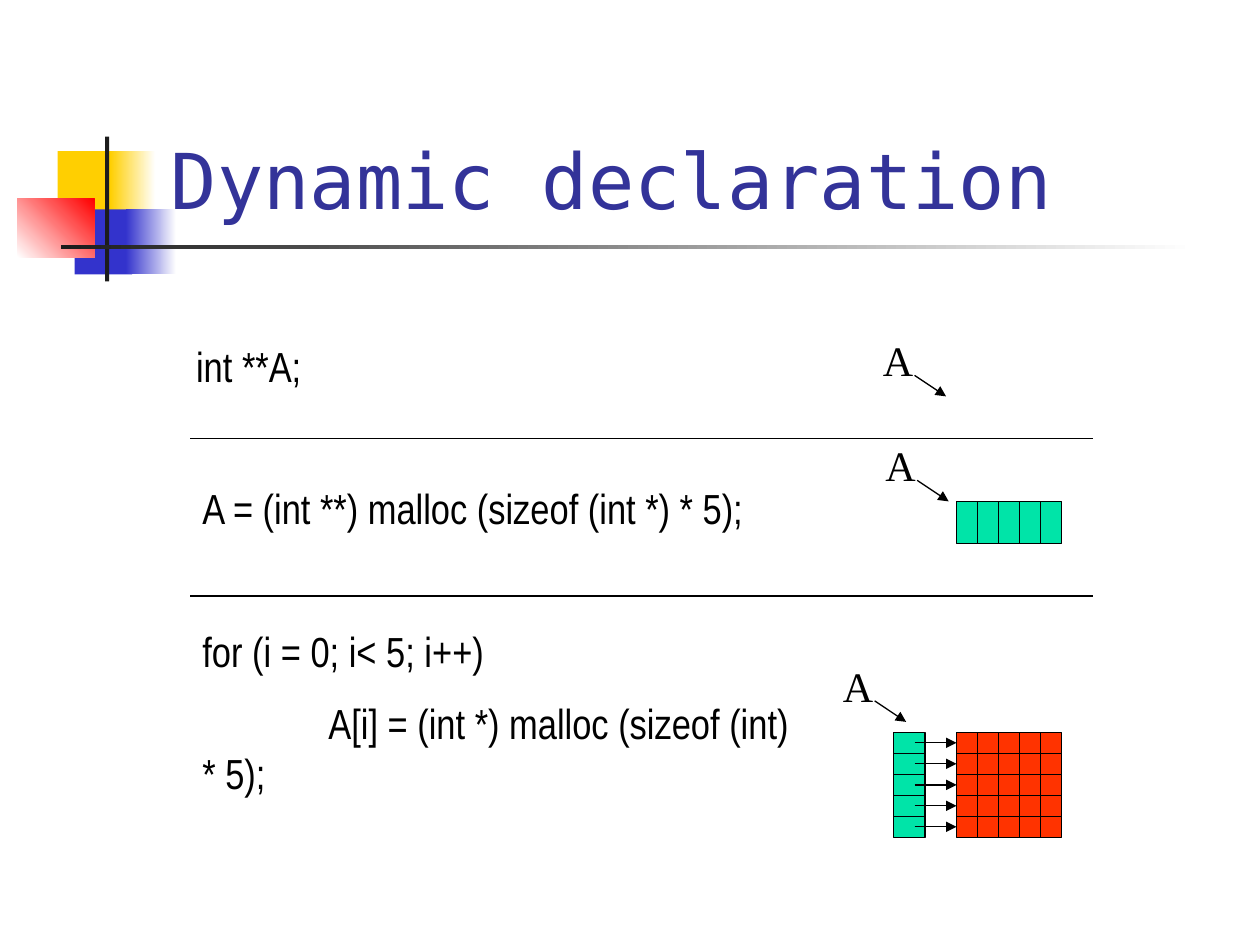
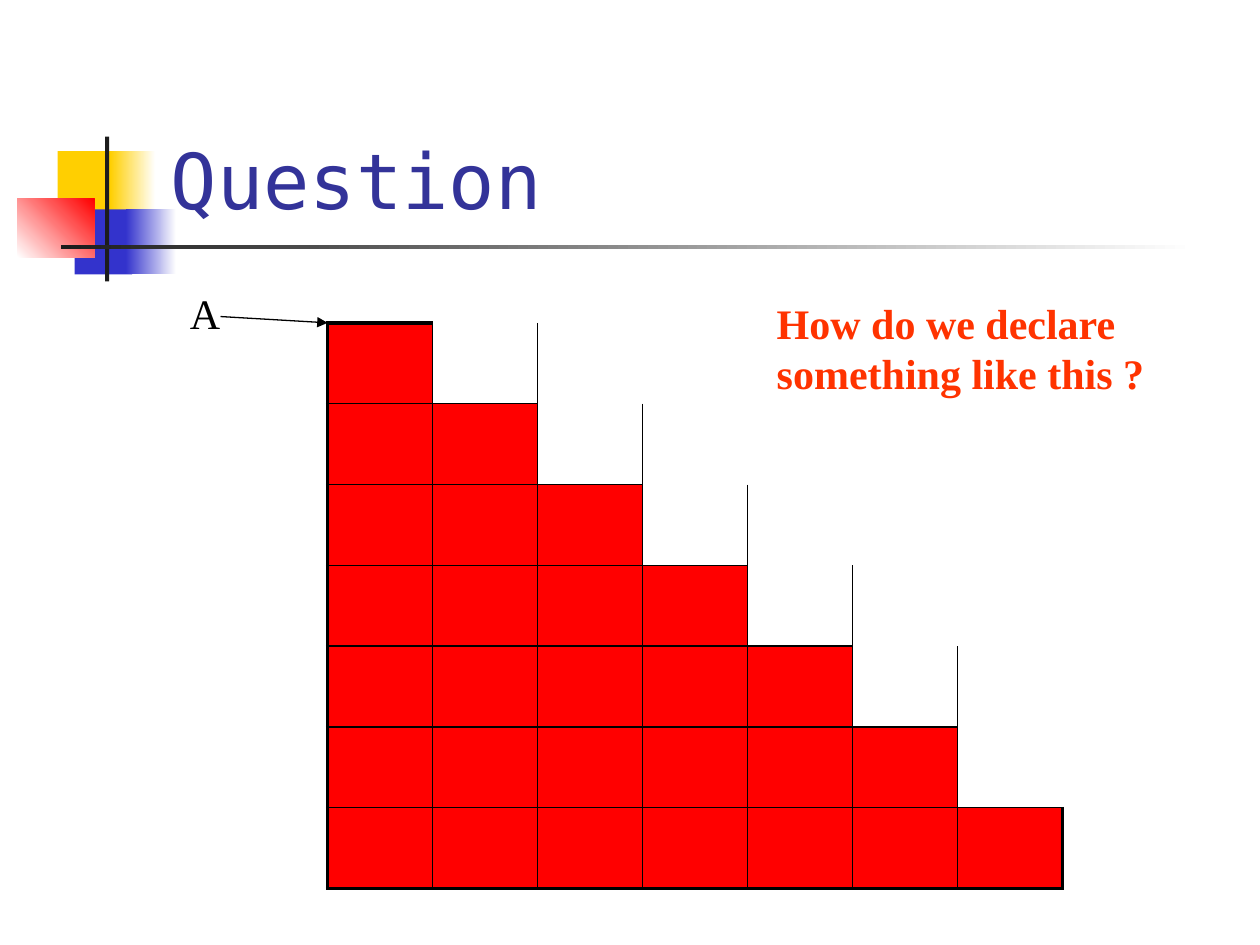
from lxml.etree import SubElement
from pptx import Presentation
from pptx.dml.color import RGBColor
from pptx.enum.shapes import MSO_CONNECTOR, MSO_SHAPE
from pptx.enum.text import MSO_ANCHOR, MSO_AUTO_SIZE
from pptx.oxml.ns import qn
from pptx.util import Inches, Pt

COLUMNS, ROWS = 120, 90
WIDTH, HEIGHT = Inches(10), Inches(7.5)
NO_GRID_STYLE = "{2D5ABB26-0587-4C30-8999-92F81FD0307C}"

BLACK, WHITE, DARK = "000000", "FFFFFF", "1C1C1C"
YELLOW, BLUE, RED = "FFCF01", "3333CC", "FF0000"
GREEN, ORANGE = "00E4A8", "FF3300"

TITLE = {"name": "DejaVu Sans Mono", "size": Pt(44), "color": "333399"}
CODE = {"name": "Arial Narrow", "size": Pt(24), "color": BLACK}
LABEL = {"name": "Times New Roman", "size": Pt(24), "color": BLACK}
PROMPT = {**LABEL, "color": ORANGE, "bold": True}

# left, top, width, height, colours (two make a gradient), gradient angle
MOTIF = [
    (5.5, 14.4, 5.75, 6.2, [YELLOW], 0),
    (10.5, 14.4, 4.3, 6.2, [YELLOW, WHITE], 0),
    (7.1, 19.95, 5.5, 6.2, [BLUE], 0),
    (12, 19.95, 4.8, 6.2, [BLUE, WHITE], 0),
    (1.65, 18.95, 7.35, 5.55, [WHITE, RED], 45),
    (10, 13, 0.4, 13.8, [DARK], 0),
    (5.8, 23.35, 108, 0.4, [DARK, WHITE], 0),
]


def rgb(value):
    return RGBColor.from_string(value)


def across(columns):
    return round(columns * WIDTH / COLUMNS)


def down(rows):
    return round(rows * HEIGHT / ROWS)


def frame(left, top, width, height):
    """Turn grid units into the four lengths of a frame."""
    return across(left), down(top), across(width), down(height)


def set_border(cell, side, points):
    line = SubElement(cell._tc.get_or_add_tcPr(), qn(f"a:ln{side}"),
                      w=str(Pt(points)))
    fill = SubElement(line, qn("a:solidFill"))
    SubElement(fill, qn("a:srgbClr"), val=BLACK)


class Slides:
    """Holds the deck, its style and the current page."""

    def __init__(self):
        self.deck = Presentation()
        self.deck.slide_width, self.deck.slide_height = WIDTH, HEIGHT

    def start_page(self, title):
        self.page = self.deck.slides.add_slide(self.deck.slide_layouts[6])
        for *place, colors, angle in MOTIF:
            self.rectangle(place, colors, angle)
        self.text((15.1, 2.8, 102.2, 19.2), [title], TITLE,
                  anchor=MSO_ANCHOR.BOTTOM)

    def rectangle(self, place, colors, angle=0, outline=None):
        box = self.page.shapes.add_shape(MSO_SHAPE.RECTANGLE, *frame(*place))
        box.shadow.inherit = False
        if len(colors) == 1:
            box.fill.solid()
            box.fill.fore_color.rgb = rgb(colors[0])
        else:
            box.fill.gradient()
            box.fill.gradient_angle = angle
            for stop, color in zip(box.fill.gradient_stops, colors):
                stop.color.rgb = rgb(color)
        if outline:
            box.line.color.rgb = rgb(outline)
            box.line.width = Pt(0.75)
        else:
            box.line.fill.background()

    def line(self, start, end, arrow=False):
        line = self.page.shapes.add_connector(
            MSO_CONNECTOR.STRAIGHT, across(start[0]), down(start[1]),
            across(end[0]), down(end[1]))
        line.line.color.rgb = rgb(BLACK)
        line.line.width = Pt(0.75)
        if arrow:
            SubElement(line.line._get_or_add_ln(), qn("a:tailEnd"),
                       type="triangle")
        SubElement(line._element.spPr, qn("a:effectLst"))

    def text(self, place, lines, style, wrap=True, anchor=MSO_ANCHOR.TOP):
        box = self.page.shapes.add_textbox(*frame(*place))
        settings = {"word_wrap": wrap, "vertical_anchor": anchor,
                    "auto_size": MSO_AUTO_SIZE.NONE}
        for name, value in settings.items():
            setattr(box.text_frame, name, value)
        for number, words in enumerate(lines):
            para = (box.text_frame.add_paragraph() if number
                    else box.text_frame.paragraphs[0])
            span = para.add_run()
            span.text = words
            for name, value in style.items():
                if name == "color":
                    span.font.color.rgb = rgb(value)
                else:
                    setattr(span.font, name, value)
        return box.text_frame.paragraphs

    def code(self, place, lines):
        """Add code lines of (text, margin, first-line indent, points before)."""
        paras = self.text(place, [words for words, *_ in lines], CODE)
        for para, (_, margin, indent, before) in zip(paras, lines):
            para.space_before = Pt(before)
            properties = para._p.get_or_add_pPr()
            properties.set("marL", str(across(margin)))
            properties.set("indent", str(across(indent)))

    def pointer(self, left, top, start, tip):
        """Add the variable A with an arrow; start and tip count from its box."""
        self.text((left, top, 5.4, 6), ["A"], LABEL, wrap=False)
        self.line((left + start[0], top + start[1]),
                  (left + tip[0], top + tip[1]), arrow=True)

    def array(self, left, top, width, height, color, columns=1, rows=1):
        """Add a bar divided into equal array elements."""
        self.rectangle((left, top, width, height), [color], outline=BLACK)
        for column in range(1, columns):
            x = left + column * width / columns
            self.line((x, top), (x, top + height))
        for row in range(1, rows):
            y = top + row * height / rows
            self.line((left, y), (left + width, y))

    def staircase(self, place, count):
        """Add a square table filled on and below its diagonal."""
        table = self.page.shapes.add_table(count, count, *frame(*place)).table
        table.first_row = table.horz_banding = False
        table._tbl.tblPr.find(qn("a:tableStyleId")).text = NO_GRID_STYLE
        thin, thick, last = 1, 2.25, count - 1
        for row in range(count):
            for column in range(count):
                cell = table.cell(row, column)
                if column <= row:
                    edges = {"L": column == 0, "R": column == last,
                             "T": row == 0, "B": row == last}
                elif column == row + 1:
                    edges = {"L": False, "B": False}
                else:
                    edges = {}
                for side, outer in edges.items():
                    set_border(cell, side, thick if outer else thin)
                if column <= row:
                    cell.fill.solid()
                    cell.fill.fore_color.rgb = rgb(RED)
                else:
                    cell.fill.background()


def dynamic_declaration(slides):
    slides.start_page("Dynamic declaration")
    slides.code((0.1, 31.8, 78, 42.4), [
        ("int **A;", 17.4, 0, 0),
        ("A = (int **) malloc (sizeof (int *) * 5);", 18, 0, 52.8),
        ("for (i = 0; i< 5; i++)", 18, 0, 52.8),
        ("A[i] = (int *) malloc (sizeof (int) * 5);", 18, 12, 12),
    ])
    for left, top in [(82.9, 31.3), (83.15, 41.3), (79.1, 62.3)]:
        slides.pointer(left, top, start=(4.2, 4.45), tip=(7.2, 6.45))
    for y in (41.75, 56.75):
        slides.line((18.1, y), (104.1, y))

    count, cell, data_left, data_top = 5, 2, 91.1, 69.75
    size = count * cell
    slides.array(data_left, 47.75, size, 4, GREEN, columns=count)
    for row in range(count):
        slides.array(data_left, data_top + row * cell, size, cell, ORANGE,
                     columns=count)
    slides.array(data_left - 6, data_top, 3, size, GREEN, rows=count)
    for row in range(count):
        y = data_top + (row + 0.5) * cell
        slides.line((data_left - 4, y), (data_left, y), arrow=True)


def question(slides):
    slides.start_page("Question")
    slides.staircase((31.2, 30.75, 70, 53.9), 7)
    slides.text((72.8, 27.7, 37.4, 10.8),
                ["How do we declare", "something like this ?"], PROMPT,
                wrap=False)
    slides.pointer(16.9, 26.75, start=(4.1, 3.4), tip=(14.3, 4))


def main():
    slides = Slides()
    dynamic_declaration(slides)
    question(slides)
    slides.deck.save("out.pptx")


if __name__ == "__main__":
    main()
